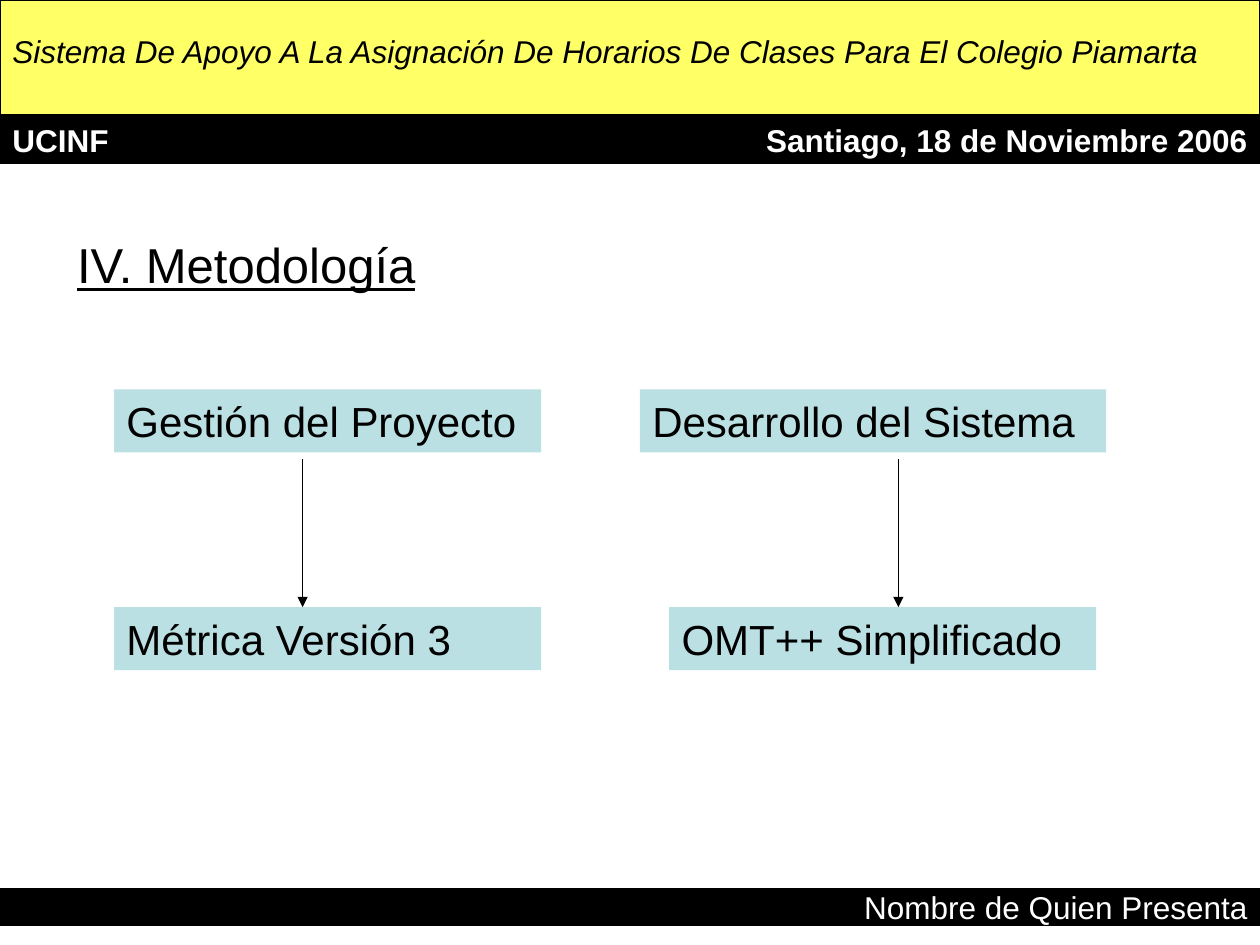
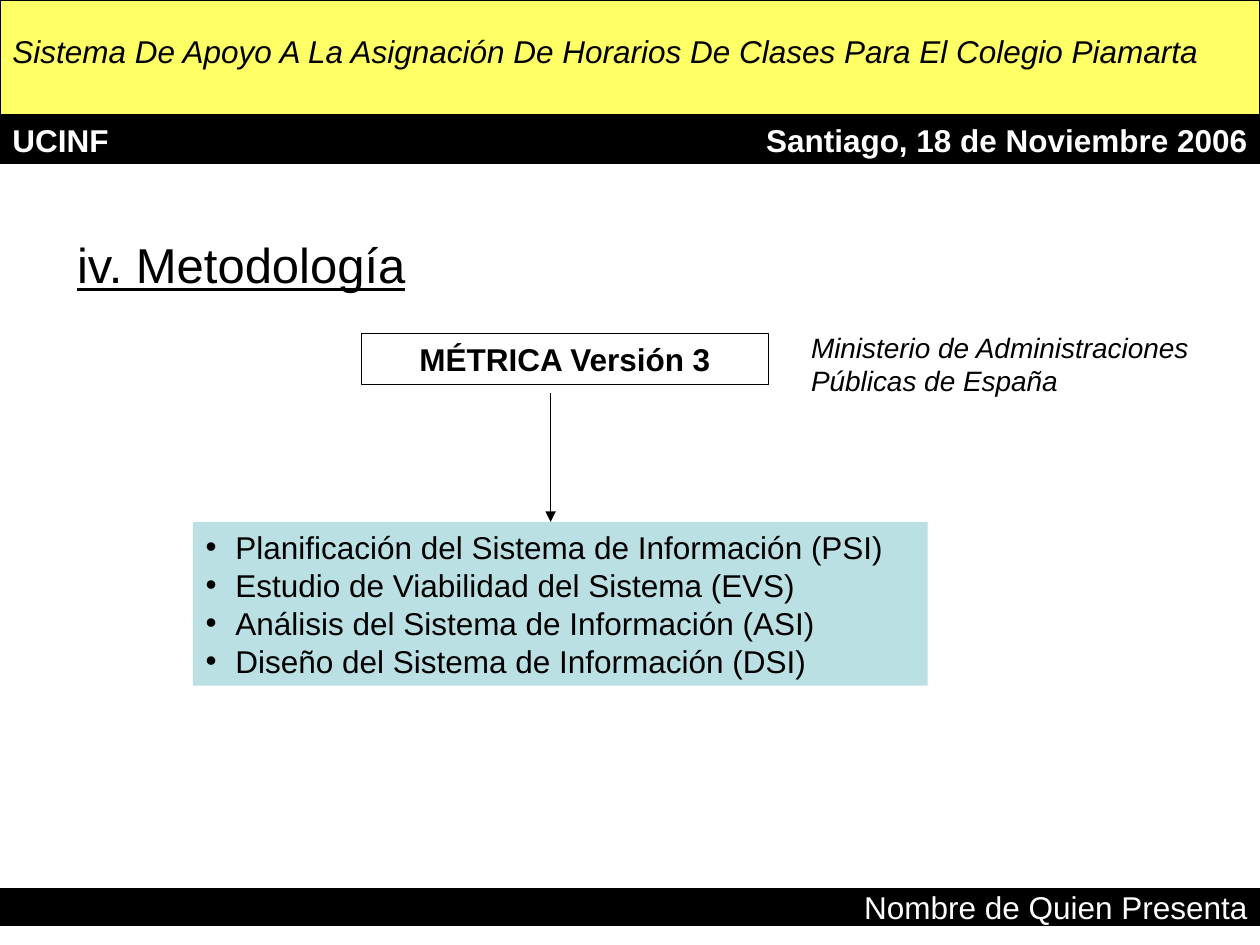
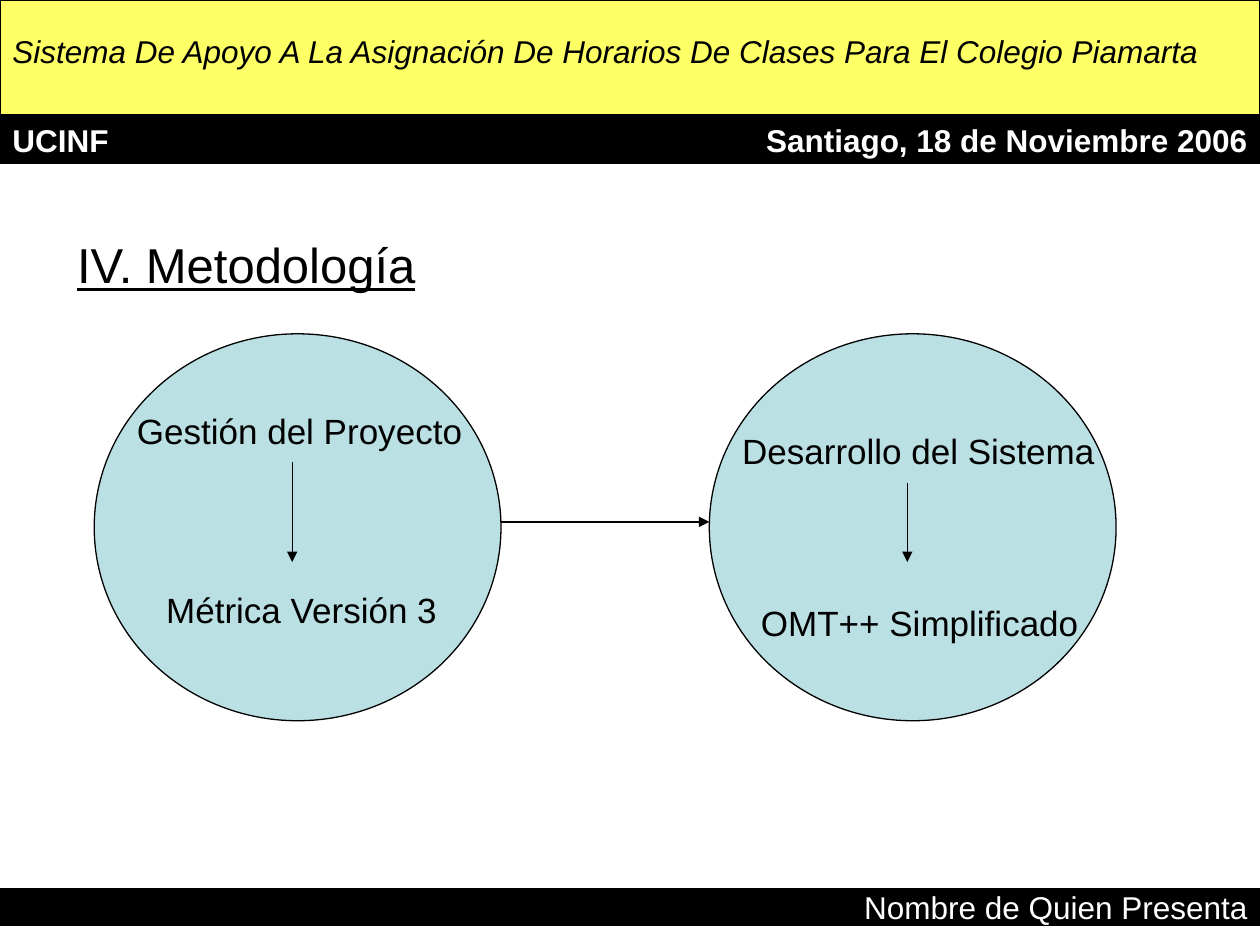
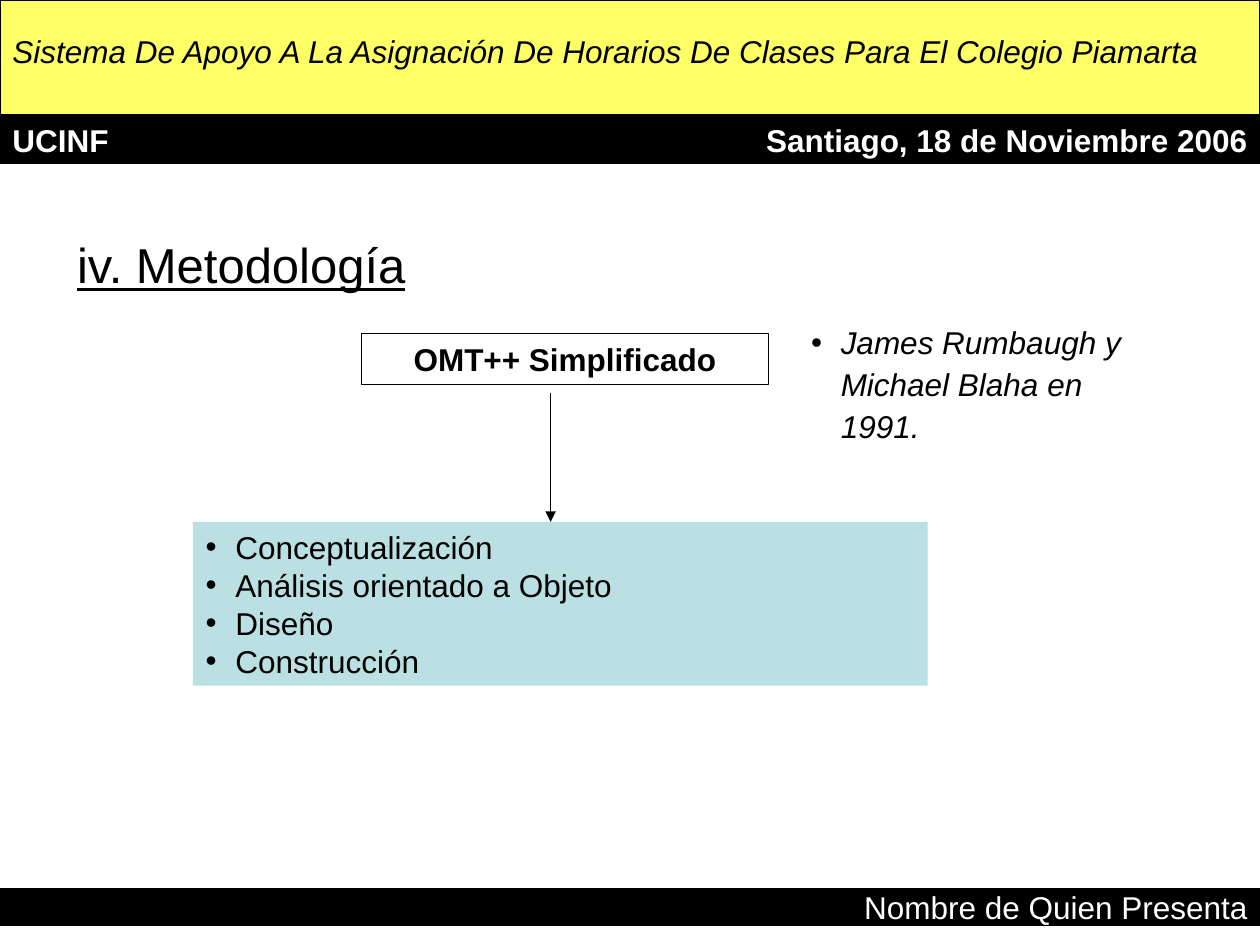
from lxml.etree import SubElement
from pptx import Presentation
from pptx.dml.color import RGBColor
from pptx.enum.shapes import MSO_CONNECTOR, MSO_SHAPE
from pptx.enum.text import MSO_ANCHOR, MSO_AUTO_SIZE, PP_ALIGN
from pptx.oxml.ns import qn
from pptx.util import Cm, Pt

FONT = "Arial"
BLACK, WHITE, YELLOW, AQUA = "000000", "FFFFFF", "FFFF66", "BBE0E3"
SLIDE_WIDTH, SLIDE_HEIGHT = 25.4, 19.05
LINE_WIDTH = Pt(0.75)
CONTENT_LAYOUT, TITLE_ONLY_LAYOUT = 1, 5
BULLET_INDENT = 0.6


def rgb(color):
    return RGBColor.from_string(color)


def add_bullet(paragraph):
    properties = paragraph._p.get_or_add_pPr()
    properties.set("marL", str(Cm(BULLET_INDENT)))
    properties.set("indent", str(-Cm(BULLET_INDENT)))
    SubElement(properties, qn("a:buFont"), typeface=FONT)
    SubElement(properties, qn("a:buChar"), char="•")


def write(shape, lines, size, color=BLACK, align=PP_ALIGN.LEFT, bold=False,
          italic=False, underline=False, bullets=False, spacing=1.0,
          anchor=MSO_ANCHOR.TOP):
    """Fill a shape with one evenly styled paragraph per line."""
    frame = shape.text_frame
    frame.word_wrap = True
    frame.auto_size = MSO_AUTO_SIZE.NONE
    frame.vertical_anchor = anchor
    frame.text = "\n".join(lines)
    for paragraph in frame.paragraphs:
        paragraph.alignment = align
        paragraph.space_before = Pt(0)
        paragraph.line_spacing = spacing
        if bullets:
            add_bullet(paragraph)
        font = paragraph.font
        font.name, font.size = FONT, Pt(size)
        font.bold, font.italic, font.underline = bold, italic, underline
        font.color.rgb = rgb(color)


def place(shape, left, top, width, height):
    shape.left, shape.top = Cm(left), Cm(top)
    shape.width, shape.height = Cm(width), Cm(height)


def add_figure(slide, kind, left, top, width, height, fill=None, outlined=True):
    figure = slide.shapes.add_shape(kind, Cm(left), Cm(top), Cm(width), Cm(height))
    figure.shadow.inherit = False
    if fill:
        figure.fill.solid()
        figure.fill.fore_color.rgb = rgb(fill)
    else:
        figure.fill.background()
    if outlined:
        figure.line.color.rgb = rgb(BLACK)
        figure.line.width = LINE_WIDTH
    else:
        figure.line.fill.background()
    return figure


def add_text(slide, text, left, top, width, height, size, **style):
    label = slide.shapes.add_textbox(Cm(left), Cm(top), Cm(width), Cm(height))
    write(label, [text], size, **style)


def add_arrow(slide, x1, y1, x2, y2):
    arrow = slide.shapes.add_connector(
        MSO_CONNECTOR.STRAIGHT, Cm(x1), Cm(y1), Cm(x2), Cm(y2))
    arrow.line.color.rgb = rgb(BLACK)
    arrow.line.width = LINE_WIDTH
    SubElement(arrow.line._get_or_add_ln(), qn("a:tailEnd"), type="triangle")
    SubElement(arrow._element.spPr, qn("a:effectLst"))


def add_bands(slide):
    for top, height, fill in ((0, 2.31, YELLOW), (2.31, 0.99, BLACK),
                              (17.91, 0.74, BLACK)):
        add_figure(slide, MSO_SHAPE.RECTANGLE, 0, top, SLIDE_WIDTH, height, fill)
    add_text(slide, "Sistema De Apoyo A La Asignación De Horarios De Clases "
             "Para El Colegio Piamarta", 0, 0.53, SLIDE_WIDTH, 1.02, 18, italic=True)
    add_text(slide, "UCINF", 0, 2.31, 11.3, 1.02, 18, color=WHITE, bold=True)
    add_text(slide, "Santiago, 18 de Noviembre 2006", 14.1, 2.31, 11.3, 1.02, 18,
             color=WHITE, align=PP_ALIGN.RIGHT, bold=True)
    add_text(slide, "Nombre de Quien Presenta", 11.91, 17.78, 13.49, 1.02, 18,
             color=WHITE, align=PP_ALIGN.RIGHT)


def start_slide(deck, title, layout=TITLE_ONLY_LAYOUT):
    slide = deck.slides.add_slide(deck.slide_layouts[layout])
    place(slide.shapes.title, 1.3, 4.72, 24.1, 1.22)
    write(slide.shapes.title, [title], 28, underline=True, anchor=MSO_ANCHOR.MIDDLE)
    add_bands(slide)
    return slide


def add_overview_slide(deck):
    slide = start_slide(deck, "IV. Metodología")
    goal_top, method_top = 7.85, 12.24
    for text, left, top, width in (
            ("Gestión del Proyecto", 2.3, goal_top, 8.61),
            ("Desarrollo del Sistema", 12.9, goal_top, 9.4),
            ("Métrica Versión 3", 2.3, method_top, 8.61),
            ("OMT++ Simplificado", 13.49, method_top, 8.61)):
        box = add_figure(slide, MSO_SHAPE.RECTANGLE, left, top, width, 1.27,
                         AQUA, outlined=False)
        write(box, [text], 24)
    for x in (6.1, 18.11):
        add_arrow(slide, x, 9.25, x, method_top)


def add_method_slide(deck, method, phases):
    slide = start_slide(deck, "iv. Metodología", CONTENT_LAYOUT)
    heading = add_figure(slide, MSO_SHAPE.RECTANGLE, 7.29, 6.73, 8.2, 1.02)
    write(heading, [method], 18, align=PP_ALIGN.CENTER, bold=True)
    phases_top = 10.52
    add_arrow(slide, 11.1, 7.92, 11.1, phases_top)
    phase_list = slide.placeholders[1]
    place(phase_list, 3.89, phases_top, 14.81, 3.3)
    phase_list.fill.solid()
    phase_list.fill.fore_color.rgb = rgb(AQUA)
    write(phase_list, phases, 18, bullets=True)
    return slide


def add_relation_slide(deck):
    slide = start_slide(deck, "IV. Metodología")
    circle_width, management_left, development_left = 8.2, 1.9, 14.3
    for left in (development_left, management_left):
        add_figure(slide, MSO_SHAPE.OVAL, left, 6.73, circle_width, 7.8, AQUA)
    for text, left, top, width in (
            ("Gestión del Proyecto", 2.51, 8.13, 7.19),
            ("Desarrollo del Sistema", 14.71, 8.53, 8.2),
            ("Métrica Versión 3", 3.1, 11.73, 6.4),
            ("OMT++ Simplificado", 15.09, 12.01, 7.21)):
        add_text(slide, text, left, top, width, 1.12, 20)
    for x, top in ((5.89, 9.32), (18.29, 9.73)):
        add_arrow(slide, x, top, x, 11.33)
    add_arrow(slide, management_left + circle_width, 10.52, development_left, 10.52)


def main():
    deck = Presentation()
    deck.slide_width, deck.slide_height = Cm(SLIDE_WIDTH), Cm(SLIDE_HEIGHT)

    add_overview_slide(deck)

    metrica = add_method_slide(deck, "MÉTRICA Versión 3", [
        "Planificación del Sistema de Información (PSI)",
        "Estudio de Viabilidad del Sistema (EVS)",
        "Análisis del Sistema de Información (ASI)",
        "Diseño del Sistema de Información (DSI)"])
    add_text(metrica, "Ministerio de Administraciones Públicas de España",
             16.1, 6.53, 8.81, 1.63, 16, italic=True)

    add_relation_slide(deck)

    omt = add_method_slide(deck, "OMT++ Simplificado", [
        "Conceptualización", "Análisis orientado a Objeto", "Diseño", "Construcción"])
    add_text(omt, "James Rumbaugh y Michael Blaha en 1991.",
             16.1, 6.32, 7.59, 1.93, 18, italic=True, bullets=True, spacing=1.1)

    deck.save("out.pptx")


if __name__ == "__main__":
    main()
